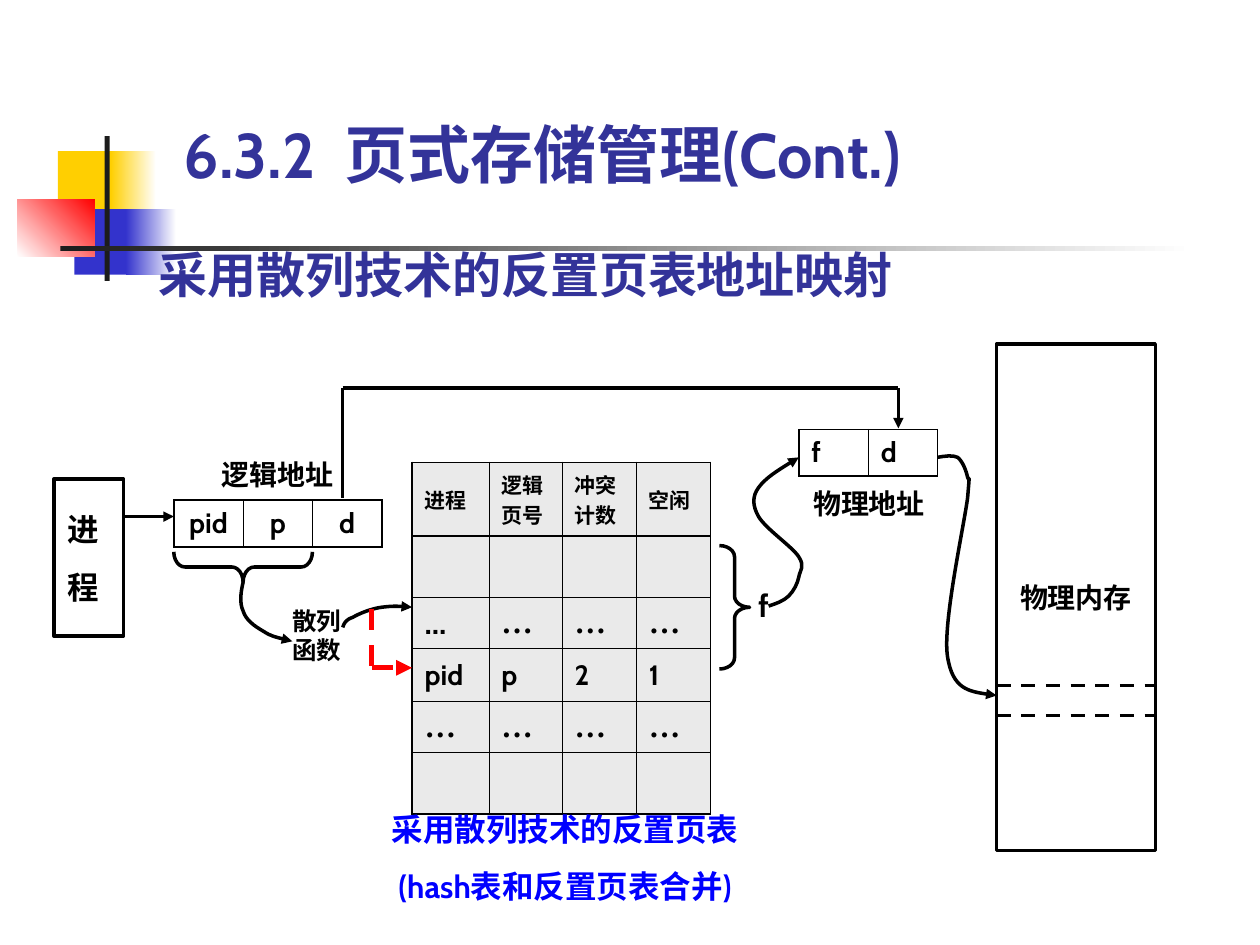
import pptx
import pptx.dml.color
import pptx.enum.dml
import pptx.enum.shapes
import pptx.enum.text
import pptx.oxml
import pptx.oxml.ns
import pptx.util
from typing import NamedTuple, Optional

Inches, Pt, qn = pptx.util.Inches, pptx.util.Pt, pptx.oxml.ns.qn
MSO, DASH = pptx.enum.shapes.MSO_SHAPE, pptx.enum.dml.MSO_LINE
ALIGN, ANCHOR = pptx.enum.text.PP_ALIGN, pptx.enum.text.MSO_ANCHOR
LEFT, CENTER, RIGHT = ALIGN.LEFT, ALIGN.CENTER, ALIGN.RIGHT
COLORS = {"ink": "000000", "title": "333399", "caption": "0000FF", "red": "FF0000",
          "gold": "FFCF01", "blue": "3333CC", "bar": "1C1C1C", "white": "FFFFFF",
          "cell": "EAEAEA"}
NO_STYLE = "{2D5ABB26-0587-4C30-8999-92F81FD0307C}"
THICK, THIN = 1.08, 0.45


class Block(NamedTuple):
    box: tuple
    color: str
    end: Optional[str] = None
    angle: int = 0


class Label(NamedTuple):
    box: tuple
    lines: tuple
    size: float
    align: ALIGN = LEFT
    color: str = "ink"
    before: float = 0
    insets: tuple = (0, 0, 0, 0)
    anchor: ANCHOR = ANCHOR.TOP
    wrap: bool = True


class Line(NamedTuple):
    start: tuple
    end: tuple
    arrow: bool = False
    dashed: bool = False
    color: str = "ink"
    width: float = 2


DECORATION = [
    Block((0.46, 1.2, 0.48, 0.52), "gold"),
    Block((0.88, 1.2, 0.36, 0.52), "gold", "white"),
    Block((0.59, 1.66, 0.46, 0.52), "blue"),
    Block((1, 1.66, 0.4, 0.52), "blue", "white"),
    Block((0.14, 1.58, 0.61, 0.46), "white", "red", 45),
    Block((0.83, 1.08, 0.04, 1.15), "bar"),
    Block((0.48, 1.95, 9, 0.04), "bar", "white"),
]
HEADING = Label((1.46, 0.92, 7.09, 0.6), ("6.3.2  页式存储管理(Cont.)",), 36,
                color="title", anchor=ANCHOR.BOTTOM)
TITLE = Label((1.26, 1.99, 5.99, 0.42), ("采用散列技术的反置页表地址映射",), 28,
              color="title", anchor=ANCHOR.BOTTOM)
PROCESS = Label((0.43, 3.8, 0.55, 1.25), ("进", "程"), 18, CENTER, before=11.2,
                insets=(0.1, 0.25, 0.18, 0.25))
MEMORY = Label((7.91, 2.73, 1.26, 4.02), ("物理内存",), 16, CENTER,
               insets=(0.1, 0.05, 0.1, 0.05), anchor=ANCHOR.MIDDLE, wrap=False)
LABELS = [
    Label((2.32, 4.81, 0.47, 0.47), ("散列函数",), 14, before=8.8),
    Label((5.94, 4.65, 0.24, 0.3), ("f",), 18, CENTER, before=11.2),
    Label((2.95, 6.38, 3.07, 1.16), ("采用散列技术的反置页表", "(hash表和反置页表合并)"),
          18, CENTER, "caption", 11.2, (0.1, 0.05, 0.1, 0.05)),
]
BRACES = [(MSO.LEFT_BRACE, (1.81, 3.95, 0.24, 1.1), 270),
          (MSO.RIGHT_BRACE, (5.71, 4.33, 0.24, 0.98), 0)]
CURVES = [
    [(1.93, 4.62), (1.91, 4.7), (1.9, 4.79), (1.93, 4.85), (1.95, 4.92), (2.02, 4.97),
     (2.09, 5.01), (2.15, 5.05), (2.24, 5.07), (2.32, 5.09)],
    [(2.72, 4.98), (2.73, 4.95), (2.74, 4.92), (2.8, 4.9), (2.85, 4.87), (2.95, 4.83),
     (3.03, 4.82), (3.11, 4.81), (3.19, 4.81), (3.27, 4.82)],
    [(6.1, 4.81), (6.16, 4.79), (6.22, 4.77), (6.26, 4.73), (6.3, 4.69), (6.33, 4.63),
     (6.34, 4.58), (6.35, 4.52), (6.39, 4.5), (6.34, 4.42), (6.29, 4.34), (6.08, 4.2),
     (6.02, 4.1), (5.97, 4.01), (5.97, 3.94), (6.02, 3.87), (6.08, 3.79), (6.21, 3.71),
     (6.34, 3.63)],
    [(7.44, 3.63), (7.5, 3.62), (7.56, 3.61), (7.6, 3.63), (7.64, 3.66), (7.67, 3.74),
     (7.68, 3.79), (7.69, 3.84), (7.7, 3.71), (7.68, 3.95), (7.65, 4.18), (7.48, 4.95),
     (7.52, 5.21), (7.56, 5.47), (7.74, 5.5), (7.91, 5.52)],
]
LINES = [
    Line((2.72, 3.95), (2.72, 3.08)),
    Line((2.72, 3.08), (7.13, 3.08)),
    Line((7.13, 3.08), (7.13, 3.4), arrow=True),
    Line((0.98, 4.1), (1.38, 4.1), arrow=True),
    Line((7.91, 5.44), (9.17, 5.44), dashed=True),
    Line((7.91, 5.68), (9.17, 5.68), dashed=True),
]
COLLISION = [Line((2.95, 4.83), (2.95, 5.3), False, True, "red", 3),
             Line((2.95, 5.3), (3.27, 5.3), True, True, "red", 3)]


def rgb(name: str):
    return pptx.dml.color.RGBColor.from_string(COLORS[name])


def inches(values) -> list:
    return [Inches(v) for v in values]


def apply(obj, formats: dict) -> None:
    for name, value in formats.items():
        setattr(obj, name, value)


def write(p, text: str, size: float, align=LEFT, color="ink", before=0.0, font="Cabin") -> None:
    apply(p, {"alignment": align, "space_before": Pt(before)})
    r = p.add_run()
    r.text = text
    apply(r.font, {"name": font, "size": Pt(size), "bold": True})
    r.font.color.rgb = rgb(color)


def fill_text(sp, label: Label) -> None:
    tf = sp.text_frame
    left, top, right, bottom = inches(label.insets)
    apply(tf, {"margin_left": left, "margin_top": top, "margin_right": right,
               "margin_bottom": bottom, "word_wrap": label.wrap,
               "auto_size": pptx.enum.text.MSO_AUTO_SIZE.NONE,
               "vertical_anchor": label.anchor})
    for i, text in enumerate(label.lines):
        p = tf.add_paragraph() if i else tf.paragraphs[0]
        write(p, text, label.size, label.align, label.color, label.before)


def stroke(sp, color: str = "ink", width: float = 2, arrow=False, dashed=False) -> None:
    sp.line.color.rgb = rgb(color)
    sp.line.width = Pt(width)
    if dashed:
        sp.line.dash_style = DASH.DASH
    if arrow:
        ln = sp._element.spPr.find(qn("a:ln"))
        ln.append(ln.makeelement(qn("a:tailEnd"), {"type": "triangle"}))


def outline(shapes, kind, box):
    sp = shapes.add_shape(kind, *inches(box))
    sp.shadow.inherit = False
    sp.fill.background()
    stroke(sp)
    return sp


def draw_block(shapes, block: Block) -> None:
    sp = shapes.add_shape(MSO.RECTANGLE, *inches(block.box))
    sp.shadow.inherit = False
    sp.line.fill.background()
    if block.end is None:
        sp.fill.solid()
        sp.fill.fore_color.rgb = rgb(block.color)
        return
    sp.fill.gradient()
    sp.fill.gradient_angle = block.angle
    for stop, name in zip(sp.fill.gradient_stops, (block.color, block.end)):
        stop.color.rgb = rgb(name)


def draw_line(shapes, line: Line) -> None:
    sp = shapes.add_connector(pptx.enum.shapes.MSO_CONNECTOR.STRAIGHT,
                              *inches(line.start + line.end))
    stroke(sp, line.color, line.width, line.arrow, line.dashed)
    spPr = sp._element.spPr
    spPr.append(spPr.makeelement(qn("a:effectLst"), {}))


def draw_curve(shapes, points: list) -> None:
    start, *rest = [(round(x * 100), round(y * 100)) for x, y in points]
    builder = shapes.build_freeform(*start, scale=Inches(0.01))
    builder.add_line_segments(rest, close=False)
    sp = builder.convert_to_shape()
    segments = list(sp._element.iter(qn("a:lnTo")))
    outline_path = segments[0].getparent()
    for i in range(0, len(segments), 3):
        bezier = outline_path.makeelement(qn("a:cubicBezTo"), {})
        for segment in segments[i:i + 3]:
            bezier.append(segment[0])
            outline_path.remove(segment)
        outline_path.append(bezier)
    sp.shadow.inherit = False
    sp.fill.background()
    stroke(sp, arrow=True)


def add_grid(shapes, at: tuple, cols: list, rows: list):
    frame = shapes.add_table(len(rows), len(cols), *inches(at + (sum(cols), sum(rows))))
    tbl = frame.table
    apply(tbl, {"first_row": False, "horz_banding": False})
    tbl._tbl.tblPr.find(qn("a:tableStyleId")).text = NO_STYLE
    for lines, sizes, name in ((tbl.columns, cols, "width"), (tbl.rows, rows, "height")):
        for item, size in zip(lines, sizes):
            setattr(item, name, Inches(size))
    return tbl


def border(cell, widths: dict) -> None:
    tcPr = cell._tc.get_or_add_tcPr()
    for i, side in enumerate(("L", "R", "T", "B")):
        tcPr.insert(i, pptx.oxml.parse_xml(
            f'<a:ln{side} {pptx.oxml.ns.nsdecls("a")} w="{Pt(widths[side])}"><a:solidFill>'
            f'<a:srgbClr val="{COLORS["ink"]}"/></a:solidFill></a:ln{side}>'))


def fill_cell(cell, text: str, size: float, align=LEFT, before=4.0, font="Cabin", fill=None) -> None:
    cell.vertical_anchor = ANCHOR.MIDDLE
    if fill:
        cell.fill.solid()
        cell.fill.fore_color.rgb = rgb(fill)
    else:
        cell.fill.background()
    if text:
        write(cell.text_frame.paragraphs[0], text, size, align, before=before, font=font)


def draw_address(shapes, at, rows, names, name_row, caption, align, caption_align) -> None:
    tbl = add_grid(shapes, at, [0.55] * len(names), rows)
    last = len(names) - 1
    for c, name in enumerate(names):
        cell = tbl.cell(name_row, c)
        fill_cell(cell, name, 16, align)
        border(cell, {"L": THIN if c else THICK, "R": THICK if c == last else THIN,
                      "T": THICK, "B": THICK})
    head = tbl.cell(1 - name_row, 0)
    head.merge(tbl.cell(1 - name_row, last))
    fill_cell(head, caption, 16, caption_align)


def draw_page_table(shapes) -> None:
    dots = ["…"] * 4
    rows = [["进程", "逻辑页号", "冲突计数", "空闲"], [""] * 4, ["..."] + dots[1:],
            ["pid", "p", "2", "1"], dots, [""] * 4]
    sizes = [12, 18, 18, 16, 18, 18]
    tbl = add_grid(shapes, (3.27, 3.67), [0.61, 0.58, 0.59, 0.59], [0.57, 0.49, 0.4, 0.42, 0.4, 0.49])
    for r, (texts, size) in enumerate(zip(rows, sizes)):
        for c, text in enumerate(texts):
            font = "Times New Roman" if text == "…" else "Cabin"
            fill_cell(tbl.cell(r, c), text, size, before=size / 4, font=font, fill="cell")
            border(tbl.cell(r, c), {"L": THIN if c else THICK, "R": THICK if c == 3 else THIN,
                                    "T": THICK if r < 2 else THIN,
                                    "B": THICK if r in (0, 5) else THIN})


def main() -> None:
    prs = pptx.Presentation()
    apply(prs, {"slide_width": Inches(10), "slide_height": Inches(7.5)})
    s = prs.slides.add_slide(prs.slide_layouts[5])
    shapes = s.shapes
    for block in DECORATION:
        draw_block(shapes, block)
    fill_text(shapes.add_textbox(*inches(HEADING.box)), HEADING)
    title = shapes.title
    apply(title, dict(zip(("left", "top", "width", "height"), inches(TITLE.box))))
    fill_text(title, TITLE)
    title.text_frame.paragraphs[0].line_spacing = 0.9
    shapes._spTree.append(title._element)
    draw_address(shapes, (1.38, 3.55), [0.42, 0.37], ["pid", "p", "d"], 1, "逻辑地址", CENTER, CENTER)
    draw_page_table(shapes)
    draw_address(shapes, (6.34, 3.41), [0.37, 0.37], ["f", "d"], 0, "物理地址", LEFT, RIGHT)
    for label in (PROCESS, MEMORY):
        fill_text(outline(shapes, MSO.RECTANGLE, label.box), label)
    for kind, box, rotation in BRACES:
        sp = outline(shapes, kind, box)
        sp.rotation = rotation
        sp.adjustments[0] = 0.37
    for label in LABELS:
        fill_text(shapes.add_textbox(*inches(label.box)), label)
    for curve in CURVES:
        draw_curve(shapes, curve)
    for line in LINES:
        draw_line(shapes, line)
    group = shapes.add_group_shape()
    for line in COLLISION:
        draw_line(group.shapes, line)
    prs.save("out.pptx")


if __name__ == "__main__":
    main()
